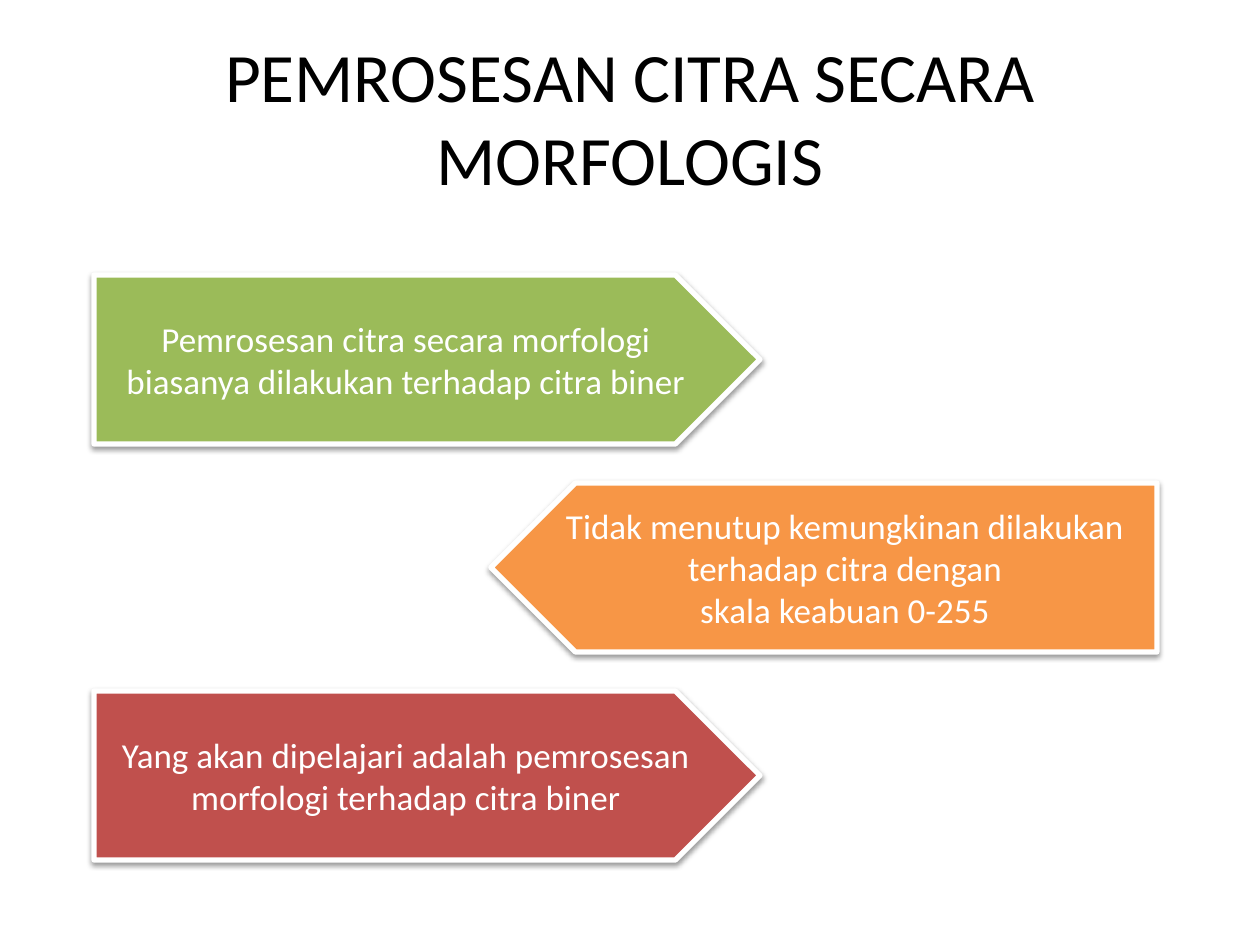
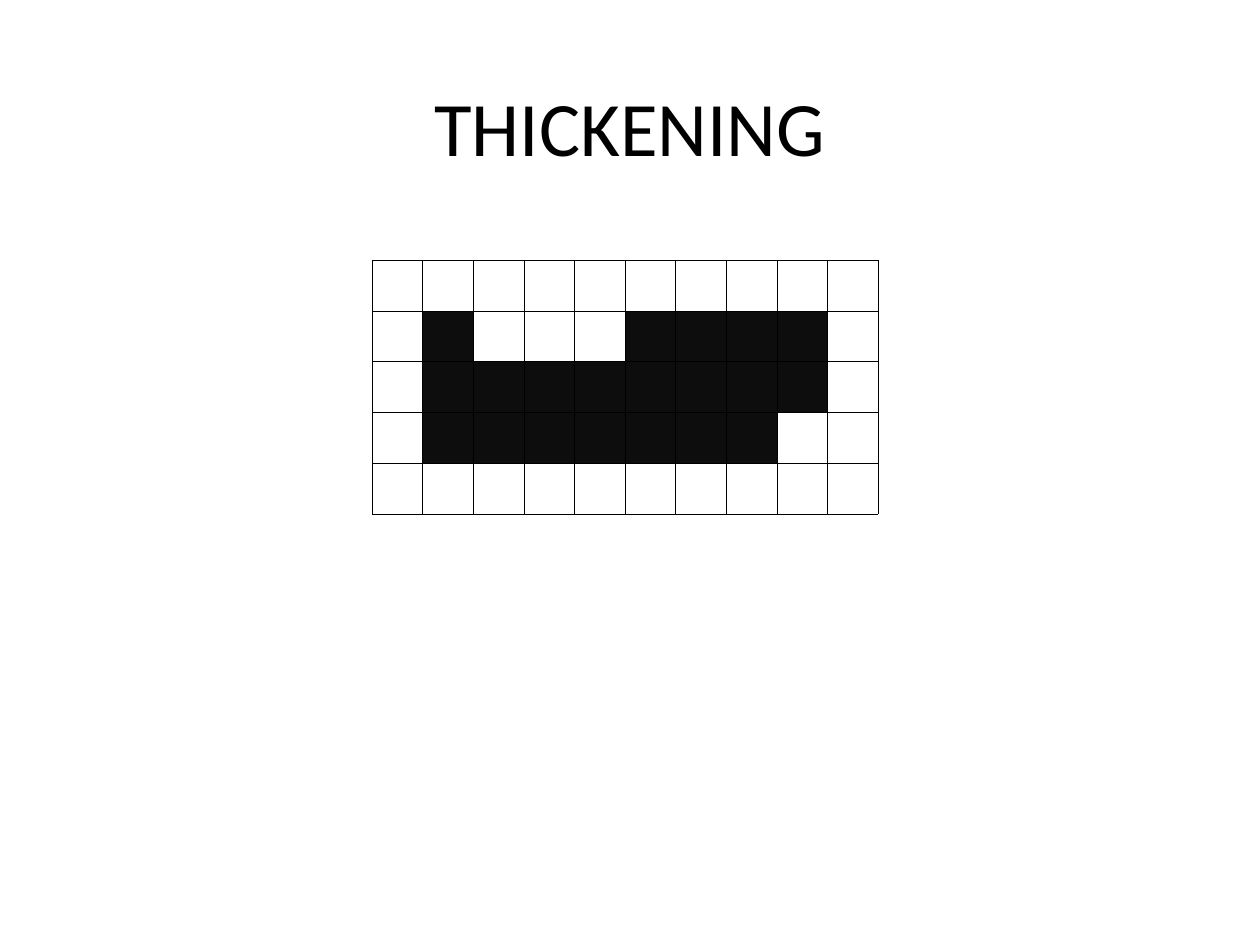
from lxml.etree import SubElement
from pptx import Presentation
from pptx.dml.color import RGBColor
from pptx.enum.shapes import MSO_SHAPE
from pptx.enum.text import MSO_ANCHOR, MSO_AUTO_SIZE, PP_ALIGN
from pptx.oxml import parse_xml
from pptx.oxml.ns import nsdecls, qn
from pptx.util import Emu, Pt

EMU_PER_PIXEL = 914400 / 126
FONT = "Calibri"
BLACK = RGBColor(0x00, 0x00, 0x00)
WHITE = RGBColor(0xFF, 0xFF, 0xFF)
GREEN = RGBColor(0x9B, 0xBB, 0x59)
ORANGE = RGBColor(0xF7, 0x96, 0x46)
RED = RGBColor(0xC0, 0x50, 0x4D)
INK = RGBColor(0x0D, 0x0D, 0x0D)

ARROW_WIDTH, ARROW_HEIGHT = 666, 169
ARROW_TOP, ARROW_STEP = 275, 208
LEFT_ARROW_X, RIGHT_ARROW_X = 94, 491

ARROWS = [
    (["Pemrosesan citra secara morfologi biasanya dilakukan terhadap citra biner"],
     GREEN, False),
    (["Tidak menutup kemungkinan dilakukan terhadap citra dengan",
      "skala keabuan 0-255"], ORANGE, True),
    (["Yang akan dipelajari adalah pemrosesan morfologi terhadap citra biner"],
     RED, False),
]

BINARY_IMAGE = [
    "..........",
    ".#...####.",
    ".########.",
    ".#######..",
    "..........",
]


def px(pixels):
    """Turn pixels into EMU."""
    return Emu(round(pixels * EMU_PER_PIXEL))


def set_format(target, values):
    """Set attributes of an object from a dict."""
    for name, value in values.items():
        setattr(target, name, value)


def write_text(text_frame, lines, size, color):
    """Write centred paragraphs, anchored in the middle."""
    set_format(text_frame, {"word_wrap": True, "auto_size": MSO_AUTO_SIZE.NONE,
                            "vertical_anchor": MSO_ANCHOR.MIDDLE})
    text_frame.text = "\n".join(lines)
    for paragraph in text_frame.paragraphs:
        paragraph.alignment = PP_ALIGN.CENTER
        for run in paragraph.runs:
            set_format(run.font, {"name": FONT, "size": Pt(size)})
            run.font.color.rgb = color


def add_titled_slide(presentation, title, top, size):
    """Add a title-only slide with its title placed and formatted."""
    slide = presentation.slides.add_slide(presentation.slide_layouts[5])
    shape = slide.shapes.title
    set_format(shape, {"left": px(63), "top": px(top),
                       "width": px(1134), "height": px(157)})
    write_text(shape.text_frame, [title], size, BLACK)
    return slide


def add_soft_shadow(shape):
    """Give a shape a soft shadow that falls straight down."""
    shape._element.spPr.append(parse_xml(
        f'<a:effectLst {nsdecls("a")}>'
        f'<a:outerShdw blurRad="{Pt(3.1)}" dist="{Pt(1.6)}" dir="5400000" rotWithShape="0">'
        f'<a:srgbClr val="{BLACK}"><a:alpha val="38000"/></a:srgbClr>'
        '</a:outerShdw></a:effectLst>'))


def add_arrow(slide, row, lines, color, points_left):
    """Add a pentagon arrow; those that point left stand on the right."""
    left = RIGHT_ARROW_X if points_left else LEFT_ARROW_X
    shape = slide.shapes.add_shape(
        MSO_SHAPE.PENTAGON, px(left), px(ARROW_TOP + row * ARROW_STEP),
        px(ARROW_WIDTH), px(ARROW_HEIGHT))
    shape.fill.solid()
    shape.fill.fore_color.rgb = color
    shape.line.color.rgb = WHITE
    shape.line.width = Pt(3)
    add_soft_shadow(shape)
    if points_left:
        shape._element.spPr.find(qn("a:xfrm")).set("flipH", "1")
    write_text(shape.text_frame, lines, 20, WHITE)


def add_borders(cell, color, width):
    """Draw the four borders of a cell, ahead of its fill."""
    properties = cell._tc.get_or_add_tcPr()
    for position, side in enumerate(("lnL", "lnR", "lnT", "lnB")):
        line = SubElement(properties, qn(f"a:{side}"), w=str(Pt(width)))
        fill = SubElement(line, qn("a:solidFill"))
        SubElement(fill, qn("a:srgbClr"), val=str(color))
        properties.insert(position, line)


def add_pixel_grid(slide, rows, left, top, width, height):
    """Add a table that shows a binary image, one cell for each pixel."""
    table = slide.shapes.add_table(len(rows), len(rows[0]), px(left), px(top),
                                   px(width), px(height)).table
    set_format(table, {"first_row": False, "horz_banding": False})
    for row_index, row in enumerate(rows):
        for column_index, mark in enumerate(row):
            cell = table.cell(row_index, column_index)
            set_format(cell, {"margin_top": 0, "margin_bottom": 0})
            if mark == "#":
                cell.fill.solid()
                cell.fill.fore_color.rgb = INK
            else:
                cell.fill.background()
            add_borders(cell, BLACK, 0.25)


def main():
    """Build and save the presentation."""
    presentation = Presentation()
    set_format(presentation, {"slide_width": px(1260), "slide_height": px(945)})

    slide = add_titled_slide(presentation, "PEMROSESAN CITRA SECARA MORFOLOGIS", 38, 39.6)
    for row, (lines, color, points_left) in enumerate(ARROWS):
        add_arrow(slide, row, lines, color, points_left)

    slide = add_titled_slide(presentation, "THICKENING", 47, 44)
    add_pixel_grid(slide, BINARY_IMAGE, 372, 260, 506, 254)

    presentation.save("out.pptx")


main()
